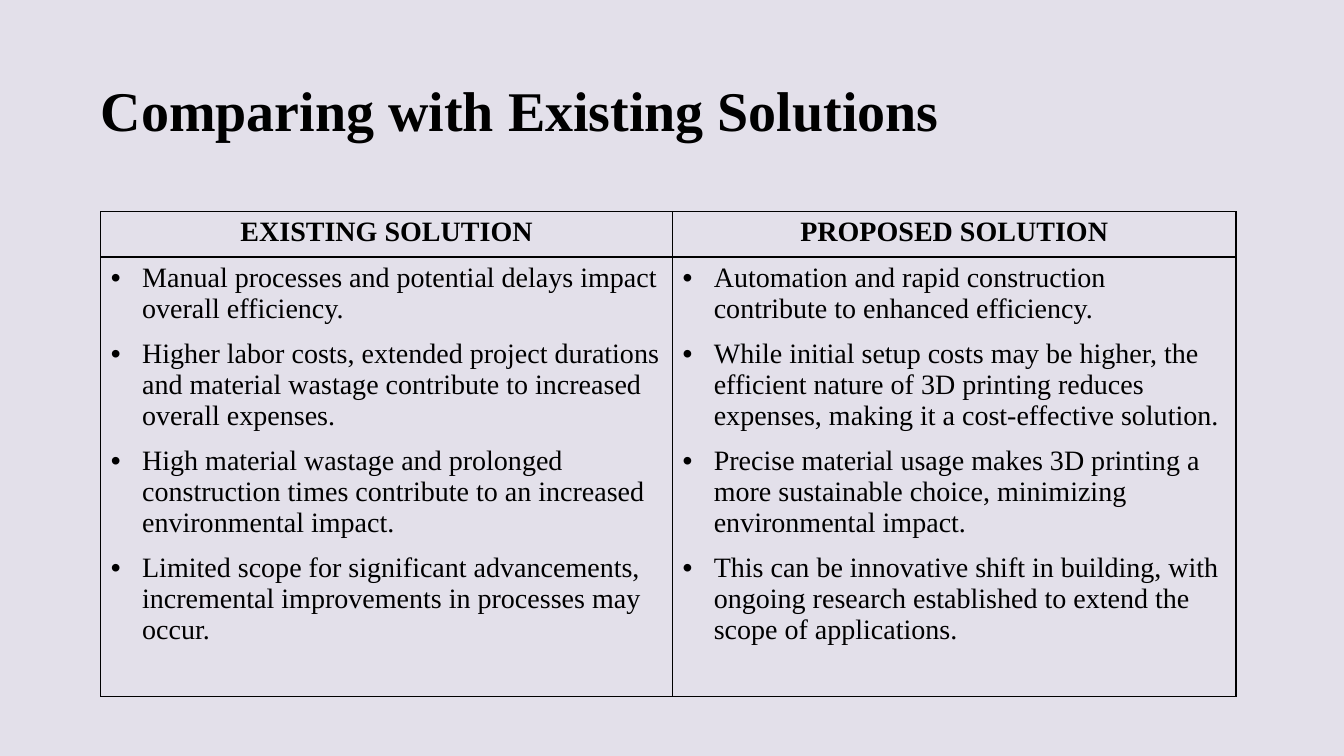
from dataclasses import dataclass

from lxml import etree
from pptx import Presentation
from pptx.dml.color import RGBColor
from pptx.enum.text import MSO_ANCHOR, MSO_AUTO_SIZE, PP_ALIGN
from pptx.oxml import parse_xml
from pptx.oxml.ns import nsdecls, qn
from pptx.util import Inches, Pt


@dataclass(frozen=True)
class Theme:
    background: RGBColor = RGBColor(0xE3, 0xE0, 0xEA)
    ink: RGBColor = RGBColor(0, 0, 0)
    typeface: str = "Times New Roman"
    title_size: Pt = Pt(40)
    table_size: Pt = Pt(20)
    border: Pt = Pt(1)


THEME = Theme()

solutions = {
    "EXISTING SOLUTION": [
        "Manual processes and potential delays impact overall efficiency.",
        "Higher labor costs, extended project durations and material wastage "
        "contribute to increased overall expenses.",
        "High material wastage and prolonged construction times contribute "
        "to an increased environmental impact.",
        "Limited scope for significant advancements, incremental improvements "
        "in processes may occur.",
    ],
    "PROPOSED SOLUTION": [
        "Automation and rapid construction contribute to enhanced efficiency.",
        "While initial setup costs may be higher, the efficient nature of 3D "
        "printing reduces expenses, making it a cost-effective solution.",
        "Precise material usage makes 3D printing a more sustainable choice, "
        "minimizing environmental impact.",
        "This can be innovative shift in building, with ongoing research "
        "established to extend the scope of applications.",
    ],
}


def style_font(paragraph, size, bold):
    font = paragraph.font
    font.name, font.size, font.bold = THEME.typeface, size, bold
    font.color.rgb = THEME.ink


def outline_cell(cell):
    cell.fill.background()
    for position, side in enumerate(("lnL", "lnR", "lnT", "lnB")):
        border = parse_xml(
            f'<a:{side} {nsdecls("a")} w="{THEME.border}"><a:solidFill>'
            f'<a:srgbClr val="{THEME.ink}"/></a:solidFill></a:{side}>')
        cell._tc.get_or_add_tcPr().insert(position, border)


# Slide and background
deck = Presentation()
deck.slide_width, deck.slide_height = Inches(13.33), Inches(7.5)
slide = deck.slides.add_slide(deck.slide_layouts[5])
slide.background.fill.solid()
slide.background.fill.fore_color.rgb = THEME.background

# Title
title = slide.shapes.title
title.left, title.top = Inches(1), Inches(0.73)
title.width, title.height = Inches(10.39), Inches(0.69)
heading = title.text_frame
heading.text = "Comparing with Existing Solutions"
heading.auto_size = MSO_AUTO_SIZE.NONE
heading.vertical_anchor = MSO_ANCHOR.BOTTOM
heading.margin_left = heading.margin_right = heading.margin_bottom = 0
heading.margin_top = Inches(0.02)
heading.paragraphs[0].alignment = PP_ALIGN.LEFT
style_font(heading.paragraphs[0], THEME.title_size, True)

# Comparison table
comparison = slide.shapes.add_table(
    2, len(solutions), Inches(1), Inches(2.1), Inches(11.26), Inches(4.81)).table
comparison.first_row = comparison.horz_banding = False
for row, height in zip(comparison.rows, (0.45, 4.36)):
    row.height = Inches(height)
for column, width in zip(comparison.columns, (5.67, 5.59)):
    column.width = Inches(width)

for index, (solution, points) in enumerate(solutions.items()):
    # Column heading
    header_cell = comparison.cell(0, index)
    outline_cell(header_cell)
    header_cell.text = solution
    header = header_cell.text_frame.paragraphs[0]
    header.alignment = PP_ALIGN.CENTER
    style_font(header, THEME.table_size, True)

    # Bulleted points
    points_cell = comparison.cell(1, index)
    outline_cell(points_cell)
    points_cell.text = "\n".join(points)
    for point in points_cell.text_frame.paragraphs:
        properties = point._p.get_or_add_pPr()
        properties.set("marL", str(Inches(0.31)))
        properties.set("indent", str(-Inches(0.31)))
        etree.SubElement(properties, qn("a:buFont"), typeface="Arial")
        etree.SubElement(properties, qn("a:buChar"), char="•")
        point.space_after = Pt(10)
        style_font(point, THEME.table_size, False)

deck.save("out.pptx")
